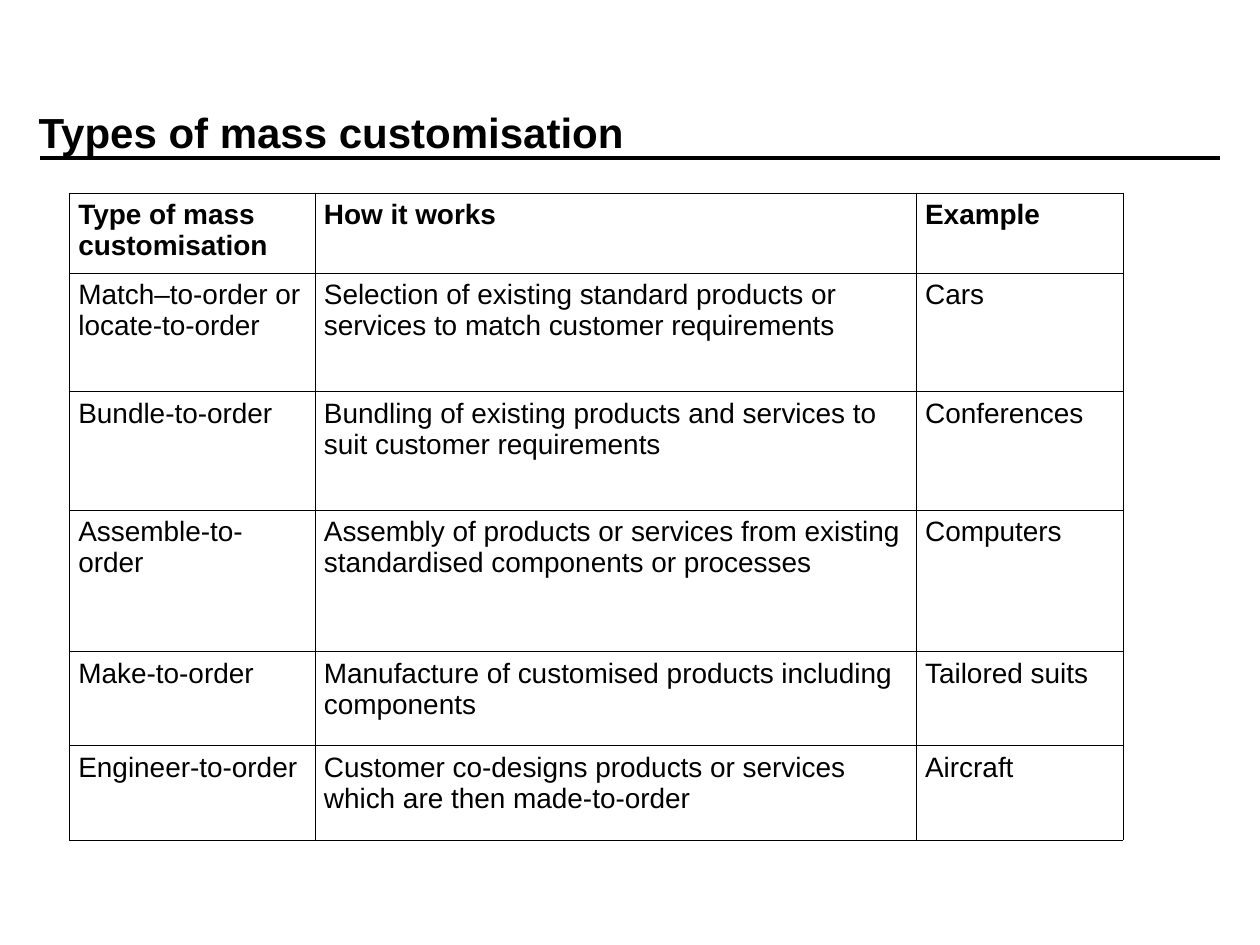
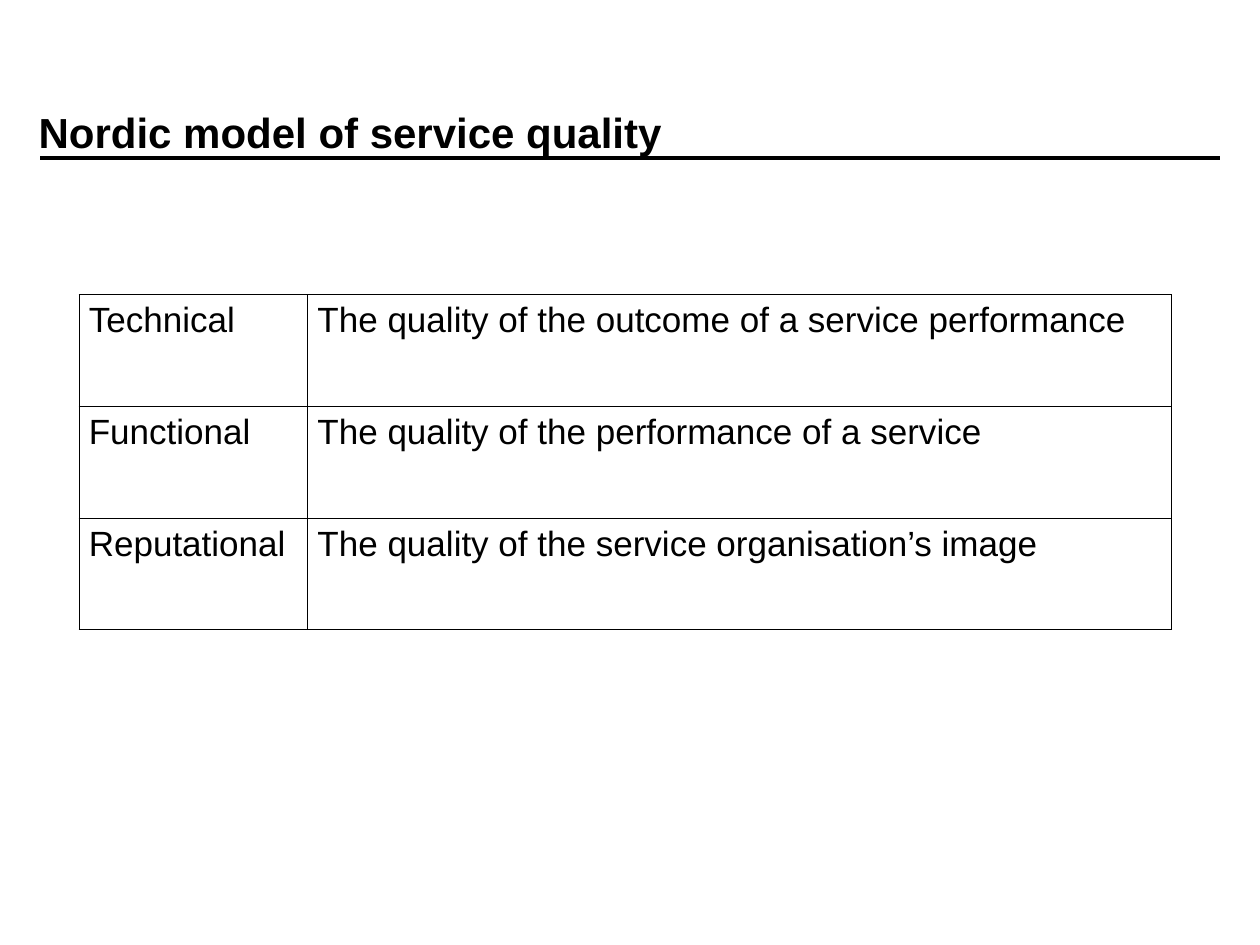
from lxml.etree import SubElement
from pptx import Presentation
from pptx.dml.color import RGBColor
from pptx.enum.shapes import MSO_CONNECTOR
from pptx.enum.text import MSO_ANCHOR
from pptx.oxml.ns import qn
from pptx.util import Cm, Pt

COLORS = {"ink": "000000", "paper": "FFFFFF"}
FONT = "Arial"

SLIDES = [
    {
        "title": "Types of mass customisation",
        "left": 1.4, "top": 3.89, "inset": 0.18, "size": 16,
        "columns": [4.95, 12.12, 4.17],
        "heights": [1.51, 2.39, 2.39, 2.85, 1.9, 1.9],
        "header": True,
        "rows": [
            ["Type of mass customisation", "How it works", "Example"],
            ["Match–to-order or locate-to-order",
             "Selection of existing standard products or services to match customer requirements",
             "Cars"],
            ["Bundle-to-order",
             "Bundling of existing products and services to suit customer requirements",
             "Conferences"],
            ["Assemble-to-order",
             "Assembly of products or services from existing standardised components or processes",
             "Computers"],
            ["Make-to-order",
             "Manufacture of customised products including components",
             "Tailored suits"],
            ["Engineer-to-order",
             "Customer co-designs products or services which are then made-to-order",
             "Aircraft"],
        ],
    },
    {
        "title": "Nordic model of service quality",
        "left": 1.59, "top": 5.94, "inset": 0.2, "size": 20,
        "columns": [4.61, 17.42],
        "heights": [2.25] * 3,
        "header": False,
        "rows": [
            ["Technical", "The quality of the outcome of a service performance"],
            ["Functional", "The quality of the performance of a service"],
            ["Reputational", "The quality of the service organisation’s image"],
        ],
    },
]


def add_text(text_frame, text, size, bold):
    run = text_frame.paragraphs[0].add_run()
    run.text = text
    run.font.name = FONT
    run.font.size = Pt(size)
    run.font.bold = bold
    run.font.color.rgb = RGBColor.from_string(COLORS["ink"])


def add_borders(cell):
    properties = cell._tc.get_or_add_tcPr()
    for side in ("lnL", "lnR", "lnT", "lnB"):
        line = SubElement(properties, qn(f"a:{side}"), w=str(Pt(0.45)))
        fill = SubElement(line, qn("a:solidFill"))
        SubElement(fill, qn("a:srgbClr"), val=COLORS["ink"])


presentation = Presentation()
presentation.slide_width = Cm(25.4)
presentation.slide_height = Cm(19.05)

for content in SLIDES:
    slide = presentation.slides.add_slide(presentation.slide_layouts[6])
    slide.background.fill.solid()
    slide.background.fill.fore_color.rgb = RGBColor.from_string(COLORS["paper"])

    rule = slide.shapes.add_connector(
        MSO_CONNECTOR.STRAIGHT, Cm(0.81), Cm(3.18), Cm(24.59), Cm(3.18))
    rule.line.width = Pt(2)
    rule.line.color.rgb = RGBColor.from_string(COLORS["ink"])
    SubElement(rule._element.spPr, qn("a:effectLst"))

    title = slide.shapes.add_textbox(Cm(0.53), Cm(1.07), Cm(21.59), Cm(3.18))
    title.text_frame.word_wrap = True
    title.text_frame.vertical_anchor = MSO_ANCHOR.MIDDLE
    add_text(title.text_frame, content["title"], 24, True)

    table = slide.shapes.add_table(
        len(content["rows"]), len(content["columns"]),
        Cm(content["left"]), Cm(content["top"]),
        Cm(sum(content["columns"])), Cm(sum(content["heights"]))).table
    table.first_row = content["header"]
    table.horz_banding = False
    for column, width in zip(table.columns, content["columns"]):
        column.width = Cm(width)
    for row, height in zip(table.rows, content["heights"]):
        row.height = Cm(height)

    for row_index, texts in enumerate(content["rows"]):
        is_header = content["header"] and row_index == 0
        for column_index, text in enumerate(texts):
            cell = table.cell(row_index, column_index)
            cell.margin_left = cell.margin_right = Cm(content["inset"])
            cell.margin_top = cell.margin_bottom = Cm(0.13)
            add_borders(cell)
            cell.fill.background()
            add_text(cell.text_frame, text, content["size"], is_header)

presentation.save("out.pptx")
